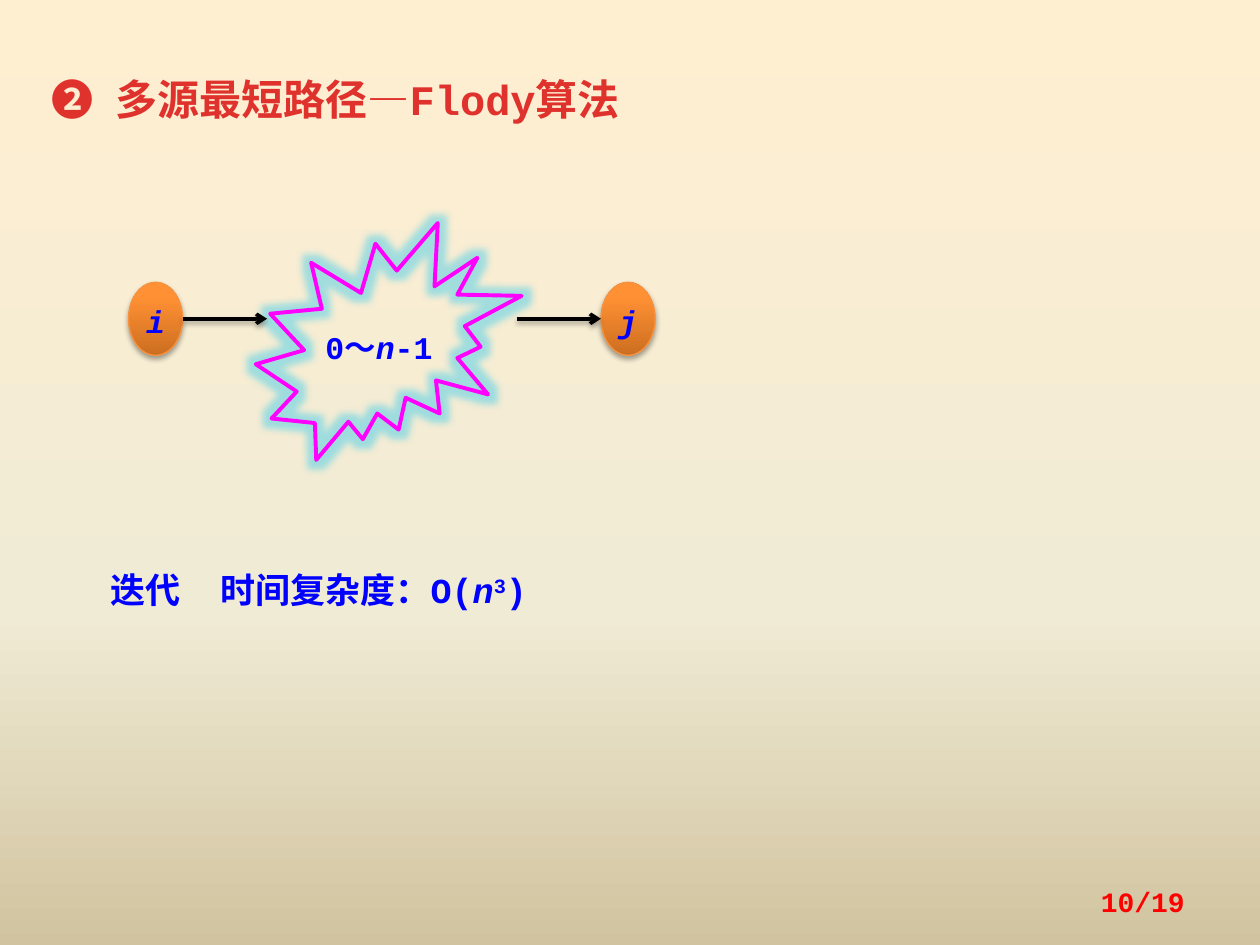
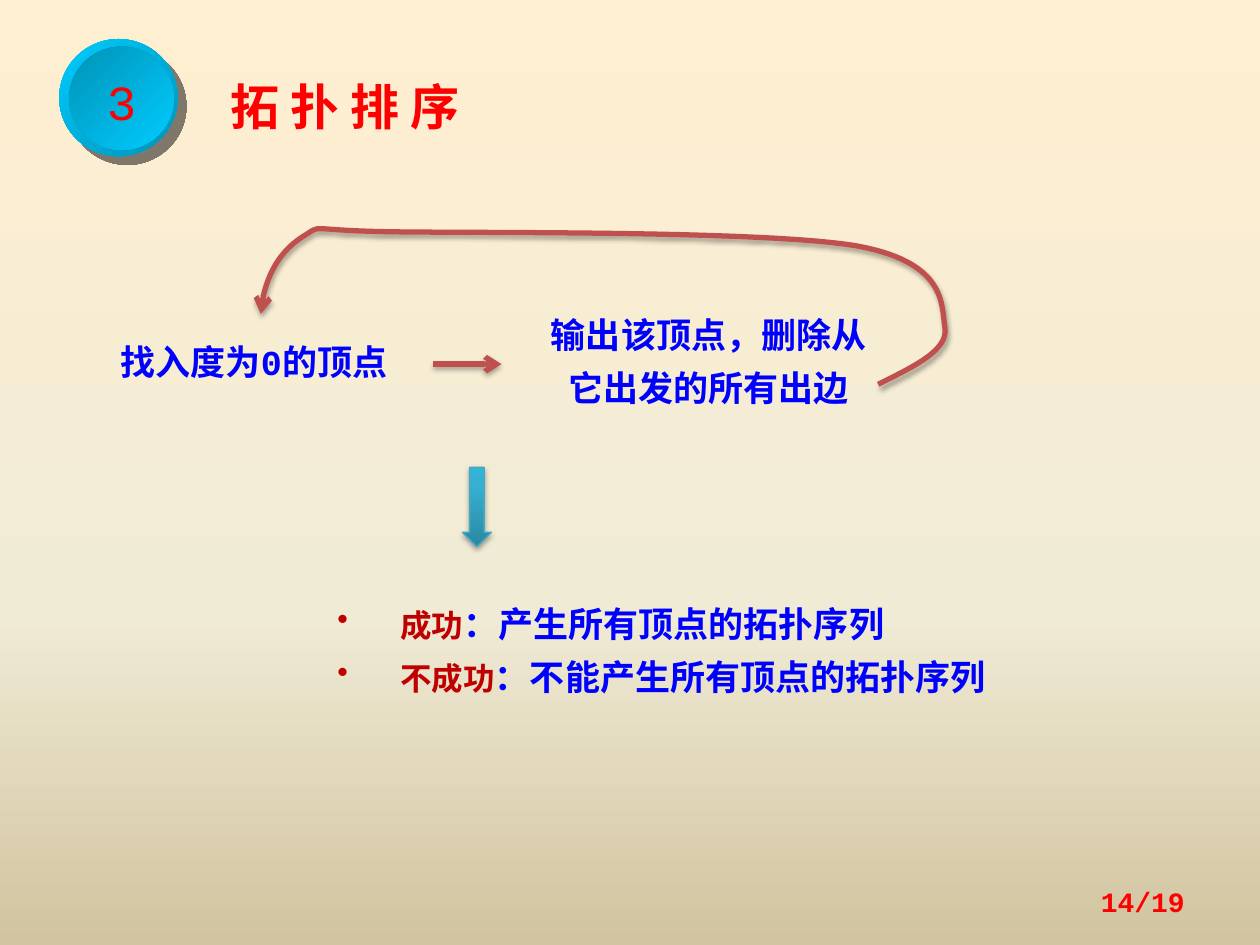
from lxml import etree
from pptx import Presentation
from pptx import util as u
from pptx.dml.color import RGBColor
from pptx.enum import shapes, text
from pptx.oxml.ns import qn

COLS, ROWS = 100, 75
FONT = "Courier New"
RED, BLUE, DARK_RED, TITLE_RED = "FF0000", "0000FF", "C00000", "E0322D"
MAGENTA, BLACK, BRICK = "FF00FF", "000000", "C0504D"
SKY, DEEP_SKY, GLOW = "00CCFF", "0092B6", "20C6EF"
PAPER = [(0, "FFEFD1"), (65, "F0EBD5"), (100, "D1C39F")]
ORANGE = [(0, "CC6E20"), (80, "FF9034"), (100, "FF9136")]
TEAL = [(0, "2A88A2"), (80, "37B1D2"), (100, "34B4D6")]
SOFT_SHADOW = (BLACK, 35, 3.1, 1.8, 90)
HARD_SHADOW = ("020202", 50, 0, 7.1, 45)
LINE_PITCH = u.Pt(30)
SHAPE = shapes.MSO_SHAPE
ALIGN = text.PP_ALIGN
MIDDLE = text.MSO_ANCHOR.MIDDLE


def cells(n):
    """Turn a number of grid cells into a length."""
    return u.Inches(n * 10 / COLS)


def place(box, x, y, w, h):
    """Place a part, given in cells, inside a box."""
    return [cells(n) for n in (box[0] + x, box[1] + y, w, h)]


def rgb(color):
    """Turn a hex string into a colour."""
    return RGBColor.from_string(color)


def el(parent, tag, **attrs):
    """Append a drawing element with attributes."""
    child = etree.SubElement(parent, qn("a:" + tag))
    for name, value in attrs.items():
        child.set(name, str(value))
    return child


def gradient(fill, props, stops, angle):
    """Fill with a linear gradient of (percent, colour) stops."""
    fill.solid()
    grad = etree.Element(qn("a:gradFill"), rotWithShape="1")
    stop_list = el(grad, "gsLst")
    for pos, color in stops:
        el(el(stop_list, "gs", pos=pos * 1000), "srgbClr", val=color)
    el(grad, "lin", ang=angle * 60000, scaled=0)
    props.replace(props.find(qn("a:solidFill")), grad)


def effect(sp, tag=None, color=None, alpha=0, **attrs):
    """Replace the theme effect by one effect or by none."""
    effects = el(sp.element.spPr, "effectLst")
    if tag:
        clr = el(el(effects, tag, **attrs), "srgbClr", val=color)
        el(clr, "alpha", val=alpha * 1000)


def shadow(sp, color, alpha, blur, dist, angle):
    """Cast an outer shadow."""
    effect(sp, "outerShdw", color, alpha, blurRad=u.Pt(blur), dist=u.Pt(dist),
           dir=angle * 60000, algn="ctr", rotWithShape=0)


def stroke(sp, color, width, arrow=False):
    """Draw the line, with an arrowhead at its end if asked."""
    sp.line.color.rgb = rgb(color)
    sp.line.width = u.Pt(width)
    if arrow:
        el(sp.element.spPr.find(qn("a:ln")), "tailEnd", type="arrow")


def style(font, size=None, color=None, bold=None, italic=None):
    """Set the given font properties."""
    if size:
        font.size = u.Pt(size)
    if color:
        font.color.rgb = rgb(color)
    if bold is not None:
        font.bold = bold
    if italic is not None:
        font.italic = italic


def write(sp, paragraphs, size, color, bold=True, italic=None, align=ALIGN.LEFT,
          spacing=LINE_PITCH, bullet=None, indent=0, tab=None):
    """Write paragraphs of (text, run style) pairs into a shape."""
    tf = sp.text_frame
    for i, runs in enumerate(paragraphs):
        p = tf.add_paragraph() if i else tf.paragraphs[0]
        p.alignment, p.line_spacing = align, spacing
        pPr = p._p.get_or_add_pPr()
        if indent:
            pPr.set("marL", str(cells(indent)))
        if bullet:
            pPr.set("indent", str(-cells(indent)))
            el(pPr, "buChar", char=bullet)
        if tab:
            el(el(pPr, "tabLst"), "tab", pos=cells(tab), algn="l")
        p.font.name = FONT
        style(p.font, size, color, bold, italic)
        for words, look in runs:
            r = p.add_run()
            r.text = words
            look = dict(look)
            if look.pop("raised", False):
                r._r.get_or_add_rPr().set("baseline", "30000")
            style(r.font, **look)


def label(parent, box, paragraphs, size, color, anchor=None, **options):
    """Add a wrapping text box."""
    sp = parent.shapes.add_textbox(*place(box, 0, 0, *box[2:]))
    sp.text_frame.word_wrap = True
    if anchor:
        sp.text_frame.vertical_anchor = anchor
    write(sp, paragraphs, size, color, **options)


def solid(parent, kind, spot, stops=None, angle=270, line=None, width=0.75):
    """Add a preset shape with a gradient fill or none."""
    sp = parent.shapes.add_shape(kind, *spot)
    if stops:
        gradient(sp.fill, sp.element.spPr, stops, angle)
    else:
        sp.fill.background()
    if line:
        stroke(sp, line, width)
    else:
        sp.line.fill.background()
    return sp


def caption(sp, runs, size, color, wrap=True, **options):
    """Centre a caption in a shape."""
    tf = sp.text_frame
    tf.word_wrap, tf.vertical_anchor = wrap, MIDDLE
    tf.margin_left = tf.margin_right = 0
    write(sp, [runs], size, color, align=ALIGN.CENTER, spacing=1.1, **options)


def arrow(parent, box, x, y, length, color, width):
    """Add a level arrow pointing right."""
    x1, y1, dx, _ = place(box, x, y, length, 0)
    sp = parent.shapes.add_connector(shapes.MSO_CONNECTOR.STRAIGHT, x1, y1, x1 + dx, y1)
    stroke(sp, color, width, arrow=True)
    shadow(sp, *SOFT_SHADOW)


def curve(parent, box, start, points, color, width):
    """Draw a curved arrow through Bezier points, three to a segment."""
    spots = [place(box, x, y, 0, 0)[:2] for x, y in [start] + points]
    builder = parent.shapes.build_freeform(*spots[0])
    builder.add_line_segments(spots[1:], close=False)
    sp = builder.convert_to_shape()
    path = sp.element.find(".//" + qn("a:path"))
    lines = path.findall(qn("a:lnTo"))
    for i in range(0, len(lines), 3):
        bezier = el(path, "cubicBezTo")
        for line in lines[i:i + 3]:
            bezier.append(line[0])
            path.remove(line)
    sp.fill.background()
    stroke(sp, color, width, arrow=True)
    shadow(sp, *SOFT_SHADOW)


def new_slide(prs, page):
    """Add a blank slide with the shared background and page number."""
    s = prs.slides.add_slide(prs.slide_layouts[6])
    s.background.fill.solid()
    gradient(s.background.fill, s.element.find(".//" + qn("p:bgPr")), PAPER, 90)
    label(s, (71.7, 69.5, 23.3, 4), [[(page, {})]], 16, RED,
          anchor=MIDDLE, align=ALIGN.RIGHT, spacing=1.0)
    return s


def route_diagram(s, box):
    """Show vertices i and j joined through intermediate vertices."""
    group = s.shapes.add_group_shape()
    for name, x in (("i", 0), ("j", 37.5)):
        sp = solid(group, SHAPE.OVAL, place(box, x, 4.7, 4.3, 5.8), ORANGE, line="F69240")
        shadow(sp, *SOFT_SHADOW)
        caption(sp, [(name, {})], 18, BLUE, italic=True)
    burst = solid(group, SHAPE.EXPLOSION2, place(box, 10.1, 0, 21.1, 18.8),
                  line=MAGENTA, width=2.25)
    effect(burst, "glow", GLOW, 40, rad=u.Pt(8))
    caption(burst, [("0～", {}), ("n", {"italic": True}), ("-1", {})], 18, BLUE)
    for x in (4.3, 30.8):
        arrow(group, box, x, 7.6, 6.7, BLACK, 2)


def badge(s, box, number):
    """Show a section number on two stacked discs."""
    group = s.shapes.add_group_shape()
    rim = solid(group, SHAPE.OVAL, place(box, 0, 0, 9.4, 9.3),
                [(0, SKY), (100, DEEP_SKY)], 45)
    shadow(rim, *HARD_SHADOW)
    disc = solid(group, SHAPE.OVAL, place(box, 0.8, 0.6, 8.3, 8.2),
                 [(0, DEEP_SKY), (100, SKY)], 45)
    effect(disc)
    caption(disc, [(number, {})], 28, RED, wrap=False, bold=False)


def sorting_loop(s, box):
    """Show the two repeated steps and the arrow leading back."""
    x, y = box[:2]
    label(s, (x, y + 8, 25, 4.8), [[("找入度为0的顶点", {})]], 20, BLUE)
    label(s, (x + 32.8, y + 5.9, 29.7, 9),
          [[("输出该顶点，删除从它出发的所有出边", {})]], 20, BLUE, align=ALIGN.CENTER)
    arrow(s, box, 25.8, 11.2, 5.4, BRICK, 3)
    curve(s, box, (61.1, 12.8),
          [(63.9, 11.4), (66.7, 10.1), (66.4, 8.3),
           (66.1, 6.5), (66.6, 3.1), (59.3, 1.8),
           (52, 0.6), (30, 0.8), (22.7, 0.7),
           (15.3, 0.6), (17.2, 0), (15.4, 1.1),
           (13.7, 2.2), (12.2, 4.7), (12.1, 7.2)], BRICK, 3)


def outcomes(s, box):
    """Show the down arrow and the list of possible results."""
    down = solid(s, SHAPE.DOWN_ARROW, place(box, 10.9, 0, 2.3, 6.3), TEAL, line="46AAC5")
    shadow(down, *SOFT_SHADOW)
    results = [("成功", "：产生所有顶点的拓扑序列"),
               ("不成功", "：不能产生所有顶点的拓扑序列")]
    label(s, (box[0], box[1] + 9.4, 57, 9),
          [[(name, {"size": 18, "color": DARK_RED}), (meaning, {})]
           for name, meaning in results], 20, BLUE, bullet="•", indent=5)


def shortest_path_slide(prs):
    """Build the slide on all-pairs shortest paths."""
    s = new_slide(prs, "10/19")
    label(s, (3.1, 5.2, 59.4, 5), [[("❷\t多源最短路径―Flody算法", {})]],
          24, TITLE_RED, tab=5.1)
    route_diagram(s, (10.2, 17.7))
    label(s, (7.8, 43.8, 43, 4.8),
          [[("迭代\t时间复杂度：O(", {}), ("n", {"italic": True}),
            ("3", {"raised": True}), (")", {})]], 20, BLUE, tab=8.7)


def topological_sort_slide(prs):
    """Build the slide on topological sorting."""
    s = new_slide(prs, "14/19")
    badge(s, (4.7, 3.1), "3")
    label(s, (15.6, 5.1, 30.5, 6.2), [[("拓 扑 排 序", {})]], 28, RED,
          spacing=1.1, indent=1.7)
    sorting_loop(s, (8.6, 17.7))
    outcomes(s, (25.8, 37.1))


def main():
    """Build and save both slides."""
    prs = Presentation()
    prs.slide_width, prs.slide_height = cells(COLS), cells(ROWS)
    shortest_path_slide(prs)
    topological_sort_slide(prs)
    prs.save("out.pptx")


if __name__ == "__main__":
    main()
